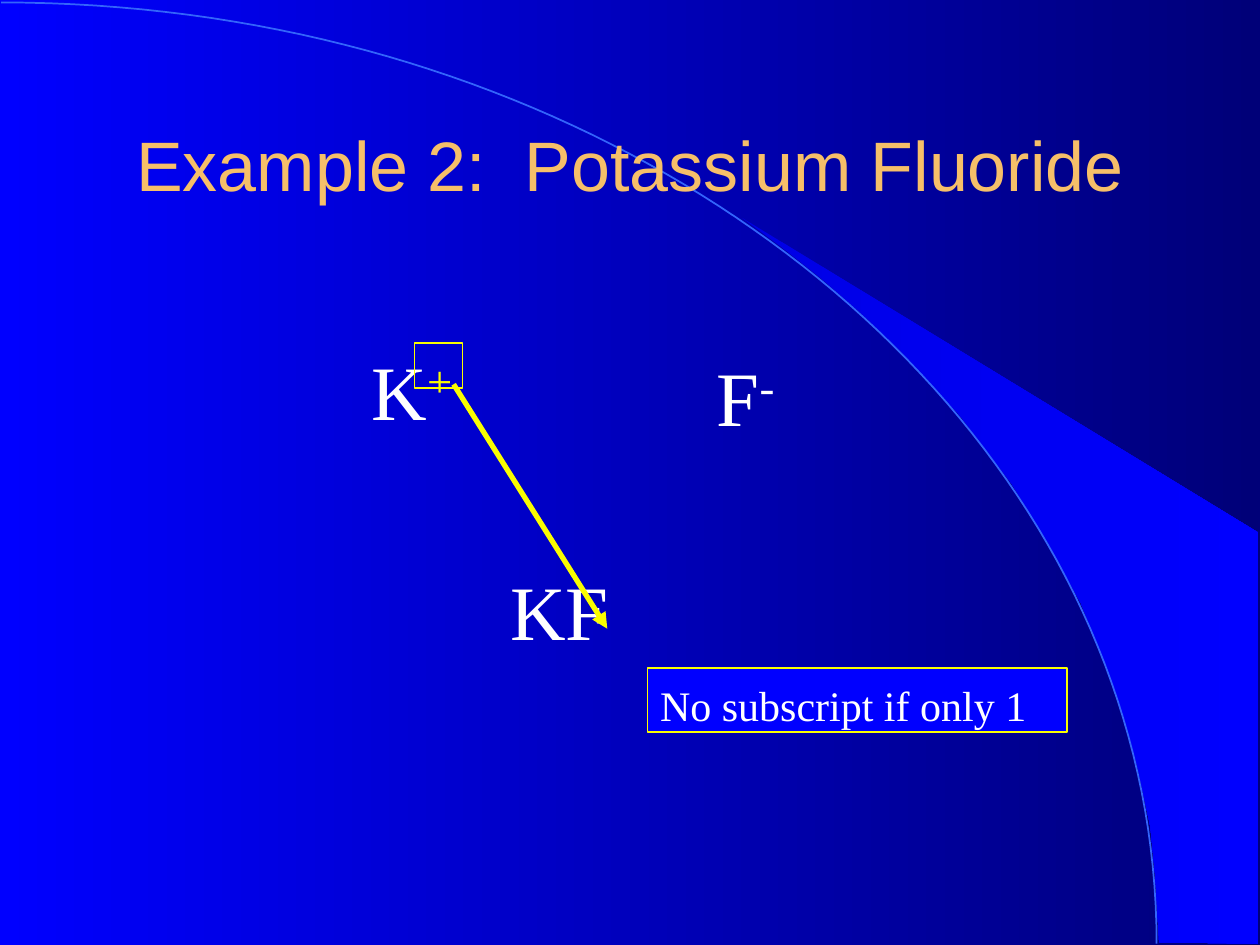
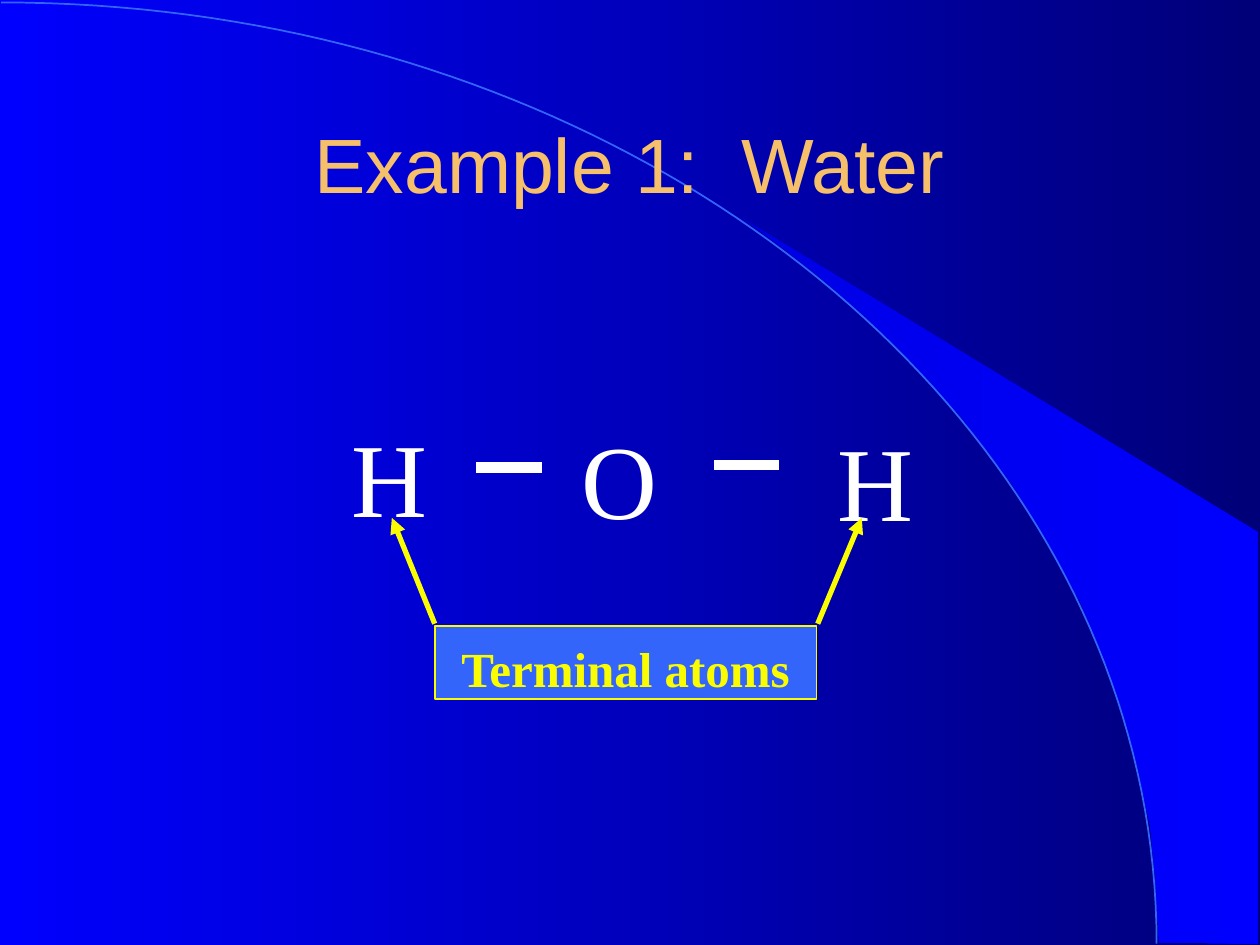
from dataclasses import dataclass

from lxml.etree import SubElement
from pptx import Presentation
from pptx.dml.color import RGBColor
from pptx.enum.shapes import MSO_CONNECTOR, MSO_SHAPE
from pptx.enum.text import MSO_ANCHOR, MSO_AUTO_SIZE, PP_ALIGN
from pptx.oxml.ns import qn
from pptx.util import Inches, Pt

BLUE = "0000FF"
NAVY = "000078"
SWOOSH_BLUE = "0000E5"
SKY = "3365FB"
GOLD = "F6BF69"
YELLOW = "FAFD00"
WHITE = "FFFFFF"
HEADING_FONT = "Arial"
BODY_FONT = "Times New Roman"
TITLE_ONLY = 5
TOP_INSET = 0.05
INSET_PER_POINT = 0.0017

SWOOSH = [
    (9.2, 7.48), (9.99, 7.49), (9.99, 4.23), (5.89, 1.73), (6.24, 1.99),
    (6.53, 2.22), (6.85, 2.5), (7.16, 2.8), (7.62, 3.3), (8.03, 3.84),
    (8.32, 4.31), (8.58, 4.79), (8.78, 5.28), (8.93, 5.72), (9.03, 6.09),
    (9.13, 6.56), (9.17, 6.96),
]
ARC_CONTROLS = [(0.01, 0.02), (5.08, 0.02), (9.18, 3.37), (9.18, 7.49)]
ARC_STEPS = 80


@dataclass
class Label:
    text: str
    left: float
    top: float
    width: float
    height: float
    size: int
    charge: str = ""
    charge_color: str = WHITE
    color: str = WHITE
    align: PP_ALIGN = PP_ALIGN.LEFT
    bold: bool = False
    fill: str = ""
    outline: str = ""


@dataclass
class Link:
    start: tuple[float, float]
    end: tuple[float, float]
    color: str = YELLOW
    width: int = 3
    arrow: bool = True


@dataclass
class Example:
    title: str
    title_size: int
    labels: list[Label]
    links: list[Link]


def atom(symbol: str, left: float, top: float, width: float) -> Label:
    return Label(symbol, left, top, width, 1.1, 60, align=PP_ALIGN.CENTER)


def bond(left: float, right: float, y: float) -> Link:
    return Link((left, y), (right, y), WHITE, 6, arrow=False)


EXAMPLES = [
    Example(
        "Example 2:  Potassium Fluoride", 40,
        [
            Label("K", 2.85, 2.6, 1.21, 0.83, 44, "+", YELLOW),
            Label("F", 5.59, 2.65, 0.97, 0.83, 44, "-"),
            Label("KF", 3.95, 4.35, 1.32, 0.83, 44),
            Label("", 3.29, 2.72, 0.38, 0.36, 24, outline=YELLOW),
            Label("No subscript if only 1", 5.14, 5.3, 3.33, 0.51, 24,
                  fill=BLUE, outline=YELLOW),
        ],
        [Link((3.6, 3.05), (4.82, 4.99))],
    ),
    Example(
        "Example 1:  Water", 44,
        [
            atom("H", 2.69, 3.12, 0.73),
            atom("H", 6.55, 3.15, 0.73),
            atom("O", 4.37, 3.14, 1.1),
            Label("Terminal atoms", 3.45, 4.97, 3.03, 0.58, 28, color=YELLOW,
                  align=PP_ALIGN.CENTER, bold=True, fill=SKY, outline=YELLOW),
        ],
        [
            bond(3.78, 4.3, 3.71),
            bond(5.67, 6.18, 3.69),
            Link((3.45, 4.95), (3.11, 4.11)),
            Link((6.49, 4.95), (6.84, 4.11)),
        ],
    ),
]


def rgb(color: str) -> RGBColor:
    return RGBColor.from_string(color)


def set_gradient(fill, first: str, last: str) -> None:
    fill.gradient()
    fill.gradient_angle = 0
    for stop, color in zip(fill.gradient_stops, (first, last)):
        stop.color.rgb = rgb(color)


def set_font(run, name: str, size: int, color: str, bold: bool = False) -> None:
    run.font.name = name
    run.font.size = Pt(size)
    run.font.bold = bold
    run.font.color.rgb = rgb(color)


def set_line(line, color: str, width: float) -> None:
    line.color.rgb = rgb(color)
    line.width = Pt(width)


def arc_point(t: float) -> tuple[float, float]:
    weights = ((1 - t) ** 3, 3 * t * (1 - t) ** 2, 3 * t**2 * (1 - t), t**3)
    x, y = (sum(w * c for w, c in zip(weights, axis)) for axis in zip(*ARC_CONTROLS))
    return x, y


def add_outline(slide, points: list[tuple[float, float]], close: bool):
    start, *rest = [(Inches(x), Inches(y)) for x, y in points]
    builder = slide.shapes.build_freeform(*start)
    builder.add_line_segments(rest, close=close)
    outline = builder.convert_to_shape()
    outline.shadow.inherit = False
    return outline


def decorate_layout(layout, slide) -> None:
    set_gradient(layout.background.fill, BLUE, NAVY)
    swoosh = add_outline(slide, SWOOSH, close=True)
    set_gradient(swoosh.fill, SWOOSH_BLUE, BLUE)
    swoosh.line.fill.background()
    arc = add_outline(slide, [arc_point(i / ARC_STEPS) for i in range(ARC_STEPS + 1)], close=False)
    arc.fill.background()
    set_line(arc.line, SKY, 1)
    for position, band in enumerate((swoosh, arc), start=2):
        layout.element.cSld.spTree.insert(position, band.element)


def set_title(slide, text: str, size: int) -> None:
    title = slide.shapes.title
    title.left, title.top = Inches(0.75), Inches(0.67)
    title.width, title.height = Inches(8.5), Inches(1.25)
    frame = title.text_frame
    frame.text = text
    frame.auto_size = MSO_AUTO_SIZE.NONE
    frame.vertical_anchor = MSO_ANCHOR.MIDDLE
    frame.paragraphs[0].alignment = PP_ALIGN.CENTER
    set_font(frame.paragraphs[0].runs[0], HEADING_FONT, size, GOLD)


def add_label(slide, label: Label) -> None:
    place = [Inches(v) for v in (label.left, label.top, label.width, label.height)]
    if label.outline:
        box = slide.shapes.add_shape(MSO_SHAPE.RECTANGLE, *place)
        box.shadow.inherit = False
        set_line(box.line, label.outline, 1)
        if label.fill:
            box.fill.solid()
            box.fill.fore_color.rgb = rgb(label.fill)
        else:
            box.fill.background()
    else:
        box = slide.shapes.add_textbox(*place)
    if not label.text:
        return
    frame = box.text_frame
    frame.text = label.text
    frame.word_wrap = True
    frame.vertical_anchor = MSO_ANCHOR.TOP
    frame.margin_top = Inches(TOP_INSET + INSET_PER_POINT * label.size)
    paragraph = frame.paragraphs[0]
    paragraph.alignment = label.align
    set_font(paragraph.runs[0], BODY_FONT, label.size, label.color, label.bold)
    if label.charge:
        charge = paragraph.add_run()
        charge.text = label.charge
        set_font(charge, BODY_FONT, label.size, label.charge_color)
        charge.font._element.set("baseline", "30000")


def add_link(slide, link: Link) -> None:
    ends = [Inches(v) for v in (*link.start, *link.end)]
    connector = slide.shapes.add_connector(MSO_CONNECTOR.STRAIGHT, *ends)
    set_line(connector.line, link.color, link.width)
    properties = connector.element.spPr
    if link.arrow:
        SubElement(properties.find(qn("a:ln")), qn("a:tailEnd"), type="triangle")
    SubElement(properties, qn("a:effectLst"))


def main() -> None:
    deck = Presentation()
    deck.slide_width, deck.slide_height = Inches(10), Inches(7.5)
    layout = deck.slide_layouts[TITLE_ONLY]
    slides = [deck.slides.add_slide(layout) for _ in EXAMPLES]
    decorate_layout(layout, slides[0])
    for slide, example in zip(slides, EXAMPLES):
        set_title(slide, example.title, example.title_size)
        for label in example.labels:
            add_label(slide, label)
        for link in example.links:
            add_link(slide, link)
    deck.save("out.pptx")


if __name__ == "__main__":
    main()
